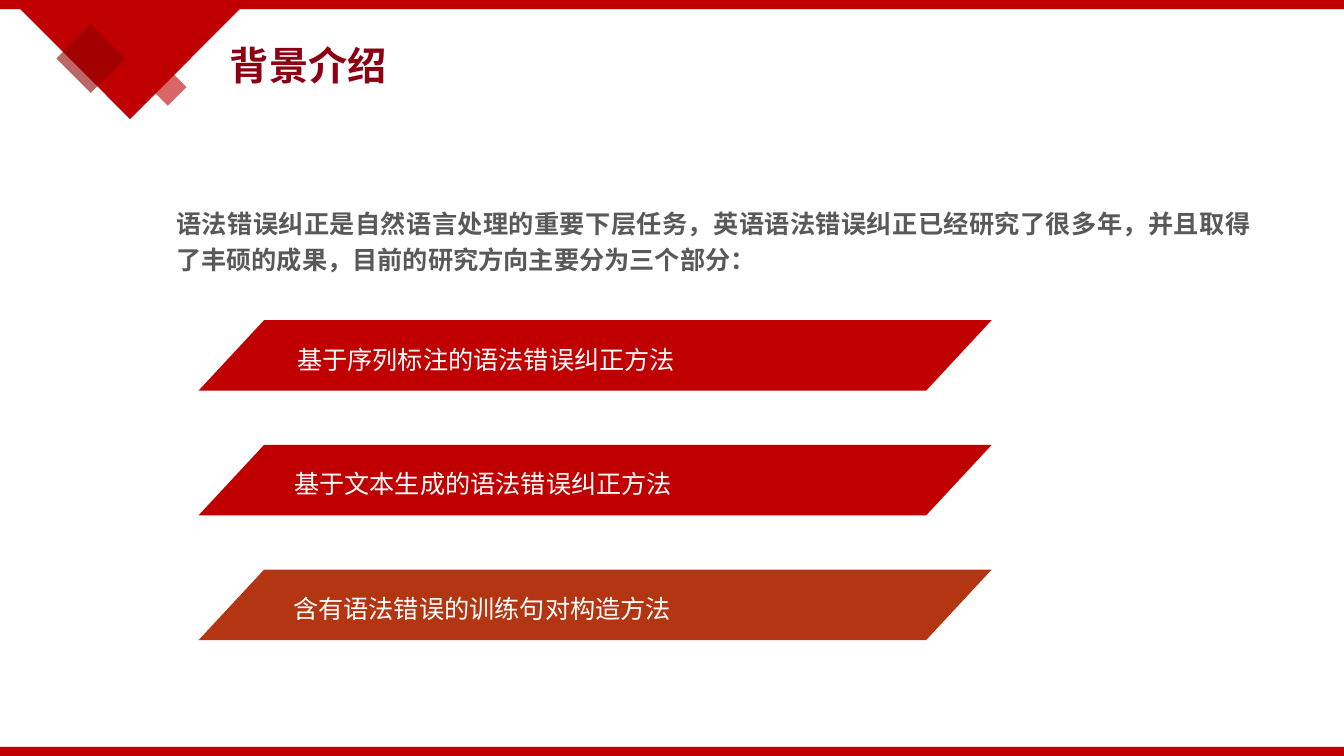
from lxml.etree import SubElement
from pptx import Presentation
from pptx.dml.color import RGBColor
from pptx.enum.shapes import MSO_SHAPE as Preset
from pptx.enum.text import MSO_ANCHOR as Anchor, MSO_AUTO_SIZE as AutoSize, PP_ALIGN as Align
from pptx.oxml.ns import qn
from pptx.util import Pt

COLORS = {
    "red": "C00000",
    "dark": "900000",
    "rust": "B43512",
    "title": "8B0012",
    "gray": "595959",
    "white": "FFFFFF",
}
WIDTH, HEIGHT = 960, 540
EDGE = 6.48
INTRO = "语法错误纠正是自然语言处理的重要下层任务，英语语法错误纠正已经研究了很多年，并且取得了丰硕的成果，目前的研究方向主要分为三个部分："
METHODS = [
    ("基于序列标注的语法错误纠正方法", "red", 63.4),
    ("基于文本生成的语法错误纠正方法", "red", 61.2),
    ("含有语法错误的训练句对构造方法", "rust", 60.5),
]


def paint(shape, color, opacity=100):
    shape.shadow.inherit = False
    shape.fill.solid()
    shape.fill.fore_color.rgb = RGBColor.from_string(COLORS[color])
    shape.line.fill.background()
    if opacity < 100:
        tint = shape.fill._xPr.find(qn("a:solidFill"))[0]
        SubElement(tint, qn("a:alpha"), val=str(opacity * 1000))


def add_block(page, preset, box, color, opacity=100):
    shape = page.shapes.add_shape(preset, *map(Pt, box))
    paint(shape, color, opacity)
    return shape


def write(shape, text, size=18, color="white", bold=False, align=Align.JUSTIFY, spacing=1.2):
    frame = shape.text_frame
    frame.word_wrap = True
    frame.auto_size = AutoSize.NONE
    frame.vertical_anchor = Anchor.TOP
    para = frame.paragraphs[0]
    para.alignment = align
    para.line_spacing = spacing
    para.space_before = Pt(0)
    span = para.add_run()
    span.text = text
    span.font.name = "Arial"
    span.font.size = Pt(size)
    span.font.bold = bold
    span.font.color.rgb = RGBColor.from_string(COLORS[color])


def add_edges(page, box):
    left, top, width, height = box
    for edge_top in (top, top + height - EDGE):
        add_block(page, Preset.RECTANGLE, (left, edge_top, width, EDGE), "red")


def add_emblem(page, box):
    left, top, width, height = box
    add_block(page, Preset.DIAMOND, (left + 92.9, top + 49, 26.6, 26.6), "red", 60)
    shoulder = 5.8
    corners = [
        (left + width - 5, top),
        (left + width, top + shoulder),
        (left + width / 2, top + height),
        (left, top + shoulder),
    ]
    outline = page.shapes.build_freeform(Pt(left + 6.5), Pt(top))
    outline.add_line_segments([(Pt(x), Pt(y)) for x, y in corners])
    paint(outline.convert_to_shape(), "red")
    add_block(page, Preset.DIAMOND, (left + 26.6, top + 17.3, 49, 49), "dark", 60)


def add_title(page, box):
    title = page.shapes.title
    title.left, title.top, title.width, title.height = map(Pt, box)
    write(title, "背景介绍", size=28, color="title", bold=True, align=Align.LEFT, spacing=1.14)


def add_intro(page, box):
    write(page.shapes.add_textbox(*map(Pt, box)), INTRO, color="gray", bold=True)


def add_methods(page, box):
    left, top, width, height = box
    bar_height = 50.4
    pitch = (height - bar_height) / (len(METHODS) - 1)
    for index, (text, color, indent) in enumerate(METHODS):
        bar_top = top + index * pitch
        bar = add_block(page, Preset.PARALLELOGRAM, (left, bar_top, width, bar_height), color)
        bar.adjustments[0] = 0.93
        label = page.shapes.add_textbox(Pt(left + indent), Pt(bar_top + 9.2), Pt(396.7), Pt(31))
        write(label, text)


def main():
    deck = Presentation()
    deck.slide_width, deck.slide_height = Pt(WIDTH), Pt(HEIGHT)
    page = deck.slides.add_slide(deck.slide_layouts[5])
    add_edges(page, (0, 0, WIDTH, HEIGHT))
    add_emblem(page, (13.7, 0, 158.4, 85))
    add_title(page, (157, 20.9, 355, 43.2))
    add_methods(page, (141.8, 228.7, 566.6, 228.6))
    add_intro(page, (118.8, 141.1, 781.9, 59.8))
    deck.save("out.pptx")


if __name__ == "__main__":
    main()
